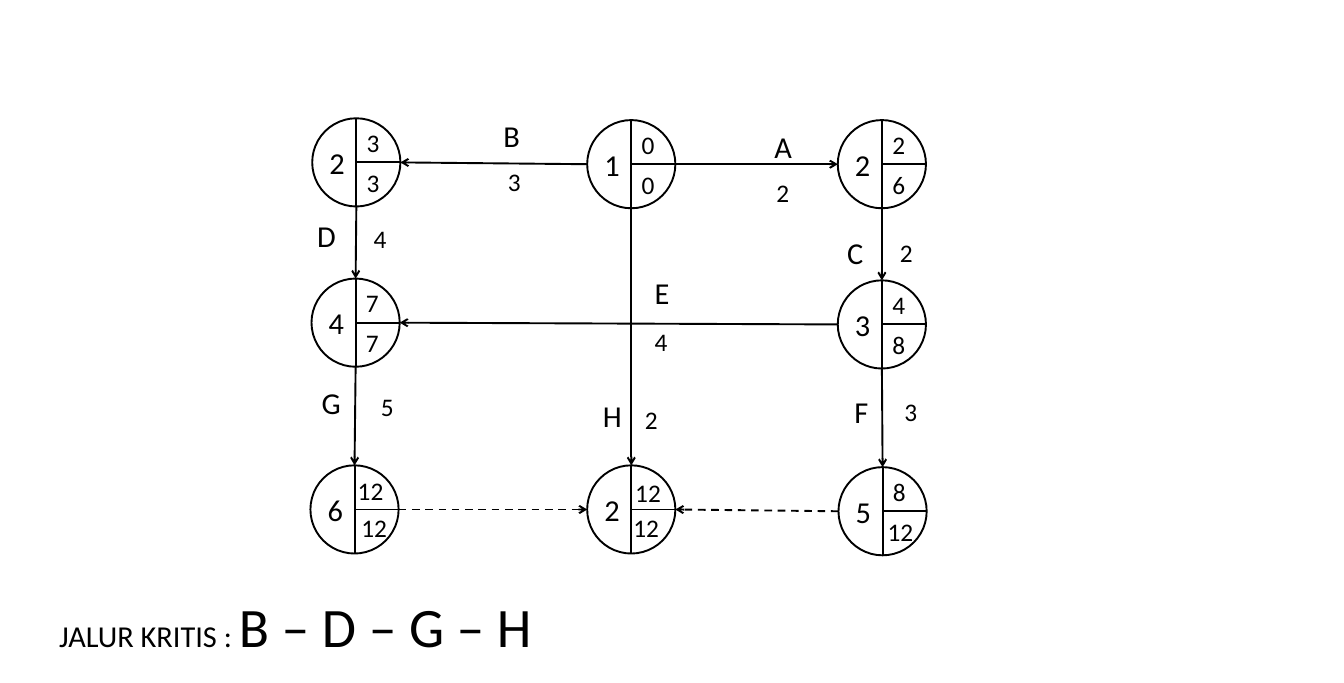
import pptx
import pptx.util
import pptx.dml.color
import pptx.enum.dml
import pptx.enum.shapes
import pptx.enum.text
import pptx.oxml.ns
import lxml.etree

Cm = pptx.util.Cm
Pt = pptx.util.Pt
BLACK = pptx.dml.color.RGBColor(0, 0, 0)
FONT = "Calibri"
SIZE = 2.46
TOP, LEFT, BOTTOM, RIGHT = (1, 0), (0, 1), (1, 2), (2, 1)
PLACES = ((1.27, 0.13), (1.27, 1.24))

NODES = {
    "start": (7.72, 0.05, "1", "0", "0", PLACES),
    "b": (0.05, 0, "2", "3", "3", PLACES),
    "a": (14.71, 0.05, "2", "2", "6", PLACES),
    "c": (14.71, 4.52, "3", "4", "8", PLACES),
    "d": (0.03, 4.47, "4", "7", "7", PLACES),
    "g": (0, 9.68, "6", "12", "12", ((1.07, 0.15), (1.17, 1.19))),
    "f": (14.73, 9.73, "5", "8", "12", ((1.27, 0.13), (1.12, 1.24))),
    "end": (7.72, 9.68, "2", "12", "12", ((1.09, 0.2), (1.04, 1.17))),
}

EDGES = [
    ("start", RIGHT, "a", LEFT, ("A", 0.25, -1.12), ("2", 0.3, 0.23)),
    ("start", LEFT, "b", RIGHT, ("B", 0.02, -1.4), ("3", 0.14, -0.05)),
    ("a", BOTTOM, "c", TOP, ("C", -1.22, -0.42), ("2", 0.25, -0.32)),
    ("b", BOTTOM, "d", TOP, ("D", -1.33, -0.83), ("4", 0.24, -0.67)),
    ("c", LEFT, "d", RIGHT, ("E", 0.75, -1.49), ("4", 0.75, -0.04)),
    ("c", BOTTOM, "f", TOP, ("F", -1.03, -0.81), ("3", 0.37, -0.74)),
    ("d", BOTTOM, "g", TOP, ("G", -1.18, -1.02), ("5", 0.47, -0.81)),
    ("start", BOTTOM, "end", TOP, ("H", -1.04, 1.55), ("2", 0.13, 1.75)),
]

DUMMIES = [
    ("g", RIGHT, "end", LEFT),
    ("f", LEFT, "end", RIGHT),
]


def style(run, size):
    run.font.name = FONT
    run.font.size = Pt(size)
    run.font.color.rgb = BLACK


def add_text(shapes, text, left, top, width, height, size):
    box = shapes.add_textbox(left, top, width, height)
    frame = box.text_frame
    frame.word_wrap = True
    frame.auto_size = pptx.enum.text.MSO_AUTO_SIZE.SHAPE_TO_FIT_TEXT
    frame.text = text
    style(frame.paragraphs[0].runs[0], size)
    return frame


def add_line(shapes, x1, y1, x2, y2):
    kind = pptx.enum.shapes.MSO_CONNECTOR.STRAIGHT
    line = shapes.add_connector(kind, x1, y1, x2, y2)
    line.line.color.rgb = BLACK
    line.line.width = Pt(1.5)
    lxml.etree.SubElement(line._element.spPr, pptx.oxml.ns.qn("a:effectLst"))
    return line


def add_node(slide, left, top, number, early, late, places):
    shapes = slide.shapes.add_group_shape().shapes
    size = Cm(SIZE)
    half = size // 2
    kind = pptx.enum.shapes.MSO_SHAPE.OVAL
    ring = shapes.add_shape(kind, left, top, size, size)
    ring.shadow.inherit = False
    ring.fill.background()
    ring.line.color.rgb = BLACK
    ring.line.width = Pt(1.5)
    add_line(shapes, left + half, top, left + half, top + size)
    add_line(shapes, left + size, top + half, left + half, top + half)
    add_text(shapes, number, left + Cm(0.23), top + Cm(0.59), Cm(0.79), Cm(1.27), 24)
    for value, (dx, dy) in zip((early, late), places):
        width = Cm(0.79 if len(value) == 1 else 1.4)
        add_text(shapes, value, left + Cm(dx), top + Cm(dy), width, Cm(1.12), 20)
    return ring


def find_port(ring, side):
    across, down = side
    return ring.left + across * ring.width // 2, ring.top + down * ring.height // 2


def add_edge(slide, first, out, last, into):
    line = add_line(slide.shapes, *find_port(first, out), *find_port(last, into))
    stroke = line.line._get_or_add_ln()
    tip = lxml.etree.SubElement(stroke, pptx.oxml.ns.qn("a:tailEnd"))
    tip.set("type", "arrow")
    return line


def add_network(slide, left, top):
    rings = {}
    for name, (dx, dy, *parts) in NODES.items():
        rings[name] = add_node(slide, left + Cm(dx), top + Cm(dy), *parts)
    for first, out, last, into, letter, weight in EDGES:
        line = add_edge(slide, rings[first], out, rings[last], into)
        mid_x = (line.begin_x + line.end_x) // 2
        mid_y = (line.begin_y + line.end_y) // 2
        for (text, dx, dy), height, size in ((letter, 1.27, 24), (weight, 1.12, 20)):
            add_text(slide.shapes, text, mid_x + Cm(dx), mid_y + Cm(dy),
                     Cm(0.79), Cm(height), size)
    for first, out, last, into in DUMMIES:
        line = add_edge(slide, rings[first], out, rings[last], into)
        line.line.dash_style = pptx.enum.dml.MSO_LINE.DASH


def add_result(slide, left, top, width, height):
    frame = add_text(slide.shapes, "JALUR KRITIS : ", left, top, width, height, 24)
    run = frame.paragraphs[0].add_run()
    run.text = "B – D – G – H"
    style(run, 44)


def main():
    deck = pptx.Presentation()
    deck.slide_width = Cm(37.49)
    deck.slide_height = Cm(19.05)
    slide = deck.slides.add_slide(deck.slide_layouts[6])
    add_network(slide, Cm(8.66), Cm(3.3))
    add_result(slide, Cm(1.4), Cm(16.38), Cm(21.26), Cm(2.13))
    deck.save("out.pptx")


if __name__ == "__main__":
    main()
